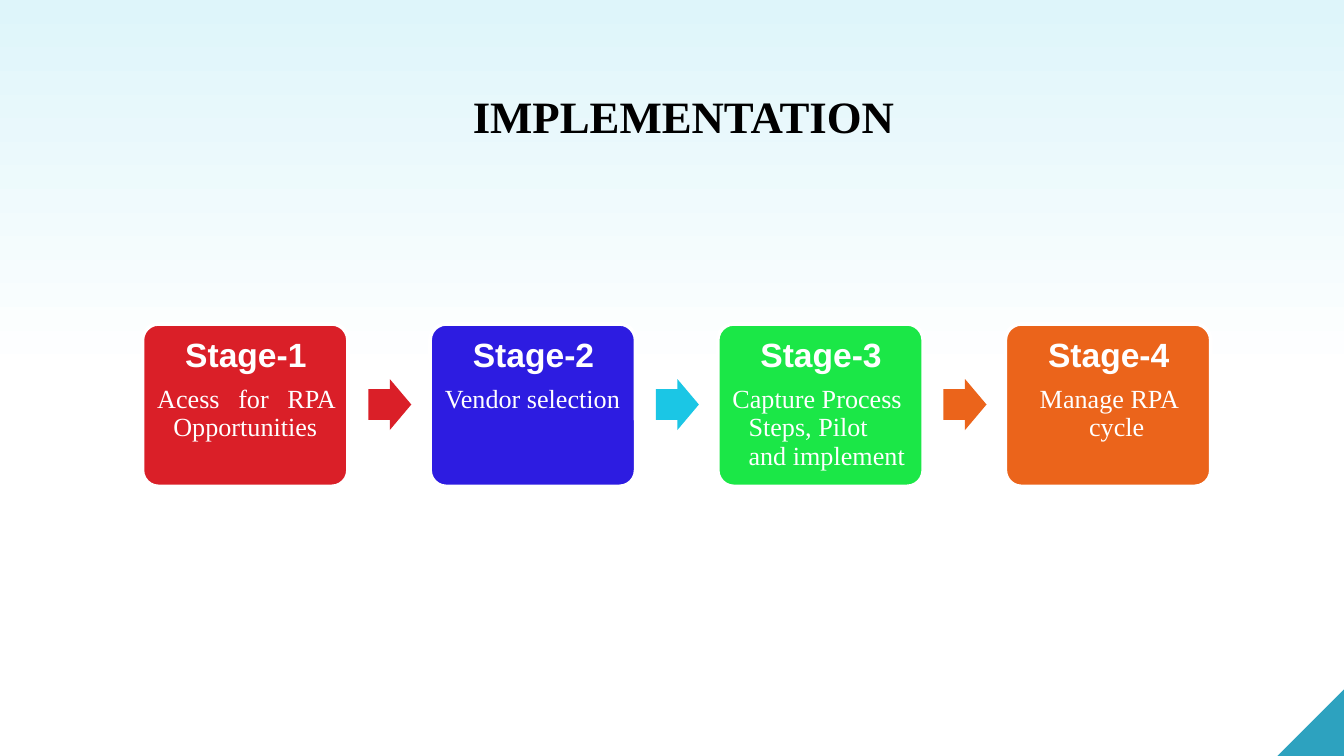
"""Build the implementation slide: four stages joined by arrows."""
import copy
from dataclasses import dataclass
from typing import Any, Optional

import pptx
import pptx.dml.color
import pptx.enum.shapes
import pptx.enum.text
import pptx.oxml.ns
import pptx.util

Inches = pptx.util.Inches
Pt = pptx.util.Pt
RGBColor = pptx.dml.color.RGBColor
Align = pptx.enum.text.PP_ALIGN
Shape = pptx.enum.shapes.MSO_SHAPE

WHITE = RGBColor(0xFF, 0xFF, 0xFF)
BLACK = RGBColor(0x00, 0x00, 0x00)
PALE_BLUE = RGBColor(0xDE, 0xF5, 0xFA)
TEAL = RGBColor(0x2D, 0xA2, 0xBF)
RED = RGBColor(0xDA, 0x1F, 0x28)
BLUE = RGBColor(0x2D, 0x1C, 0xE1)
CYAN = RGBColor(0x1B, 0xC6, 0xE5)
GREEN = RGBColor(0x1B, 0xE7, 0x47)
ORANGE = RGBColor(0xEB, 0x64, 0x1B)

SLIDE_WIDTH = 10
SLIDE_HEIGHT = SLIDE_WIDTH * 9 / 16
FIRST_LEFT, PITCH = 1.06, 2.14
ARROW_OFFSET = 1.68
TITLE_FONT = {"name": "Times New Roman", "size": Pt(24), "bold": True}
HEADING_FONT = {"name": "Arial", "size": Pt(18), "bold": True}
BODY_FONT = {"name": "Times New Roman", "size": Pt(14), "bold": False}
STAGE_MARGINS = dict.fromkeys(
    ("margin_left", "margin_top", "margin_right", "margin_bottom"), Inches(0.07)
)


@dataclass(frozen=True)
class Stage:
    heading: str
    body: str
    color: RGBColor
    align: Align
    arrow: Optional[RGBColor] = None


STAGES = [
    Stage("Stage-1", "Acess for RPA Opportunities", RED, Align.JUSTIFY, RED),
    Stage("Stage-2", "Vendor selection", BLUE, Align.JUSTIFY, CYAN),
    Stage("Stage-3", "Capture Process Steps, Pilot and implement", GREEN, Align.LEFT, ORANGE),
    Stage("Stage-4", "Manage RPA cycle", ORANGE, Align.CENTER),
]


def apply_format(target: Any, values: dict[str, Any]) -> None:
    for name, value in values.items():
        setattr(target, name, value)


def add_filled(page: Any, kind: Shape, at: tuple[float, ...], color: RGBColor,
               adjustments: tuple[float, ...] = ()) -> Any:
    shape = page.shapes.add_shape(kind, *map(Inches, at))
    shape.shadow.inherit = False
    shape.fill.solid()
    shape.fill.fore_color.rgb = color
    shape.line.fill.background()
    for index, value in enumerate(adjustments):
        shape.adjustments[index] = value
    return shape


def add_frame(page: Any, at: tuple[float, ...], values: dict[str, Any]) -> Any:
    frame = page.shapes.add_textbox(*map(Inches, at)).text_frame
    apply_format(frame, {"word_wrap": True, **values})
    return frame


def write(paragraph: Any, text: str, font: dict[str, Any], color: RGBColor,
          layout: dict[str, Any]) -> None:
    span = paragraph.add_run()
    span.text = text
    apply_format(span.font, font)
    span.font.color.rgb = color
    apply_format(paragraph, layout)


def paint_background(page: Any) -> None:
    fill = page.background.fill
    fill.gradient()
    fill.gradient_angle = 90
    stop_list = next(page.element.iter(pptx.oxml.ns.qn("a:gsLst")))
    stop_list.insert(1, copy.deepcopy(stop_list[0]))
    for stop, position, color in zip(
        fill.gradient_stops, (0, 0.5, 1), (WHITE, WHITE, PALE_BLUE)
    ):
        stop.position = position
        stop.color.rgb = color


def draw_stage(page: Any, stage: Stage, left: float) -> None:
    box = add_filled(page, Shape.ROUNDED_RECTANGLE, (left, 2.41, 1.53, 1.21), stage.color, (0.1,))
    box.line.color.rgb = WHITE
    box.line.width = Pt(2)

    frame = add_frame(page, (left + 0.04, 2.45, 1.46, 1.14), STAGE_MARGINS)
    write(frame.paragraphs[0], stage.heading, HEADING_FONT, WHITE,
          {"alignment": Align.CENTER, "line_spacing": 0.9, "space_after": Pt(6)})
    body = frame.add_paragraph()
    write(body, stage.body, BODY_FONT, WHITE,
          {"alignment": stage.align, "line_spacing": 0.9, "space_after": Pt(2), "level": 1})
    properties = body._p.get_or_add_pPr()
    properties.set("marL", str(Inches(0.12)))
    properties.set("indent", str(Inches(-0.12)))

    if stage.arrow is not None:
        add_filled(page, Shape.RIGHT_ARROW, (left + ARROW_OFFSET, 2.82, 0.32, 0.38),
                   stage.arrow, (0.6, 0.5))


def main() -> None:
    deck = pptx.Presentation()
    apply_format(deck, {"slide_width": Inches(SLIDE_WIDTH), "slide_height": Inches(SLIDE_HEIGHT)})
    page = deck.slides.add_slide(deck.slide_layouts[6])
    paint_background(page)

    corner = add_filled(page, Shape.RIGHT_TRIANGLE, (9.5, 5.12, 0.51, 0.51), TEAL)
    corner.rotation = 270

    title = add_frame(page, (0, 0.61, SLIDE_WIDTH, 0.91), {"margin_left": Inches(0.27)})
    write(title.paragraphs[0], "IMPLEMENTATION", TITLE_FONT, BLACK, {"alignment": Align.CENTER})

    for index, stage in enumerate(STAGES):
        draw_stage(page, stage, FIRST_LEFT + index * PITCH)

    deck.save("out.pptx")


if __name__ == "__main__":
    main()
